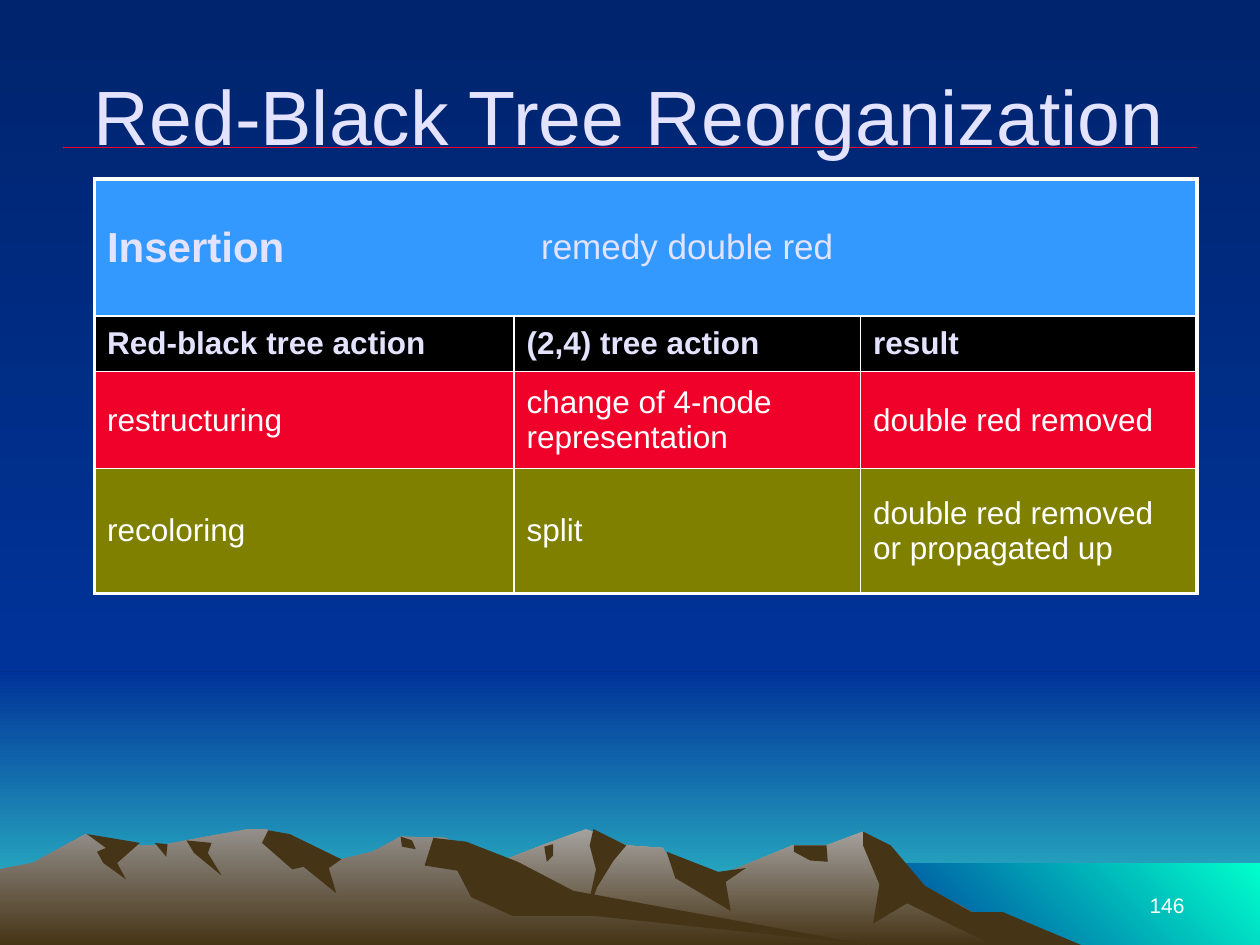
from lxml.etree import SubElement
from pptx import Presentation
from pptx.dml.color import RGBColor
from pptx.enum.shapes import MSO_CONNECTOR, MSO_SHAPE
from pptx.enum.text import MSO_ANCHOR, PP_ALIGN
from pptx.oxml import parse_xml
from pptx.oxml.ns import nsdecls, qn
from pptx.util import Inches, Pt

NAVY = RGBColor.from_string("00246D")
BLUE = RGBColor.from_string("003399")
TEAL = RGBColor.from_string("33CCCC")
AQUA = RGBColor.from_string("00FFCC")
GREY = RGBColor.from_string("A5A29F")
STONE = RGBColor.from_string("938F8B")
BROWN = RGBColor.from_string("463416")
RED = RGBColor.from_string("EF0129")
OLIVE = RGBColor.from_string("808000")
SKY = RGBColor.from_string("3399FF")
BLACK = RGBColor.from_string("000000")
WHITE = RGBColor.from_string("FFFFFF")
LILAC = RGBColor.from_string("E3E3FF")
DOWN, RISE = 270, 45

# Backdrop bands: left, top, width, height, fill
BANDS = [
    (0, 5.33, 10, 2.17, (BLUE, TEAL, DOWN)),
    (0, 0, 10, 5.33, (NAVY, BLUE, DOWN)),
    (6.83, 6.85, 3.17, 0.65, (BLUE, AQUA, RISE)),
]

# Mountains, back to front: fill, then corners in hundredths of an inch
HILLS = [
    # Right range and its shaded faces
    ((GREY, BROWN, DOWN), [
        (258, 750), (327, 709), (394, 685), (430, 671), (465, 658), (474, 661),
        (497, 671), (526, 673), (536, 690), (566, 697), (629, 671), (656, 671),
        (685, 660), (723, 698), (820, 750)]),
    (BROWN, [
        (685, 660), (707, 671), (734, 703), (771, 724), (796, 724), (858, 750),
        (788, 750), (720, 717), (693, 733), (698, 702), (685, 671)]),
    (BROWN, [
        (471, 658), (497, 671), (487, 683), (474, 704), (465, 727), (473, 690),
        (468, 671)]),
    (BROWN, [
        (529, 676), (570, 692), (592, 689), (576, 700), (580, 723), (536, 697)]),
    (BROWN, [(630, 671), (656, 671), (657, 684), (643, 683), (630, 676)]),
    (BROWN, [(432, 672), (439, 670), (439, 679), (434, 684)]),
    # Left range and its shaded faces
    ((STONE, BROWN, DOWN), [
        (0, 750), (0, 690), (26, 685), (68, 662), (94, 671), (128, 671),
        (148, 667), (196, 658), (212, 658), (236, 681), (271, 682), (296, 676),
        (318, 664), (354, 665), (432, 712), (690, 750)]),
    (BROWN, [
        (213, 659), (230, 662), (271, 682), (261, 689), (267, 709), (241, 688),
        (232, 690), (208, 669)]),
    (BROWN, [
        (344, 665), (370, 668), (411, 684), (455, 707), (690, 750), (472, 727),
        (407, 727), (374, 712), (363, 691), (337, 687)]),
    (BROWN, [(318, 664), (327, 667), (330, 674), (319, 672)]),
    (BROWN, [(148, 667), (168, 669), (165, 677), (176, 695), (154, 677)]),
    (BROWN, [(123, 669), (133, 670), (132, 680)]),
    (BROWN, [
        (69, 662), (111, 669), (93, 685), (100, 698), (82, 685), (77, 676),
        (84, 673)]),
]

# Table rows: height, fill, text colour, bold, cells
COLS = [3.33, 2.75, 2.67]
ROWS = [
    (1.09, SKY, LILAC, True, ["Insertion", "remedy double red", ""]),
    (0.44, BLACK, LILAC, True,
     ["Red-black tree action", "(2,4) tree action", "result"]),
    (0.77, RED, WHITE, False,
     ["restructuring", "change of 4-node representation", "double red removed"]),
    (0.99, OLIVE, WHITE, False,
     ["recoloring", "split", "double red removed or propagated up"]),
]
THIN, THICK = 1, 2.25


def write(frame, text, size=18, color=WHITE, bold=False, align=PP_ALIGN.LEFT):
    para = frame.paragraphs[0]
    para.alignment = align
    run = para.add_run()
    run.text = text
    font = run.font
    font.name, font.size, font.bold = "Arial", Pt(size), bold
    font.color.rgb = color


def paint(fill, look):
    if isinstance(look, RGBColor):
        fill.solid()
        fill.fore_color.rgb = look
        return
    fill.gradient()
    fill.gradient_angle = look[2]
    for stop, color in zip(fill.gradient_stops, look):
        stop.color.rgb = color


def finish(shape, look):
    paint(shape.fill, look)
    shape.line.fill.background()
    shape.shadow.inherit = False


def label(slide, box, anchor, text, **style):
    frame = slide.shapes.add_textbox(*map(Inches, box)).text_frame
    frame.word_wrap = True
    frame.vertical_anchor = anchor
    write(frame, text, **style)


def edge(cell, widths):
    props = cell._tc.get_or_add_tcPr()
    for i, (side, width) in enumerate(zip("LRTB", widths)):
        fill = (f'<a:solidFill><a:srgbClr val="{WHITE}"/></a:solidFill>'
                if width else "<a:noFill/>")
        props.insert(i, parse_xml(
            f'<a:ln{side} {nsdecls("a")} w="{Pt(width)}">{fill}</a:ln{side}>'))


def grid(slide):
    table = slide.shapes.add_table(
        len(ROWS), len(COLS), Inches(0.75), Inches(1.42), Inches(sum(COLS)),
        Inches(sum(row[0] for row in ROWS))).table
    table.first_row = table.horz_banding = False
    for col, width in zip(table.columns, COLS):
        col.width = Inches(width)
    for r, (height, look, color, bold, texts) in enumerate(ROWS):
        table.rows[r].height = Inches(height)
        inner = THIN if r else 0
        for c, text in enumerate(texts):
            cell = table.cell(r, c)
            cell.vertical_anchor = MSO_ANCHOR.MIDDLE
            paint(cell.fill, look)
            edge(cell, (THICK if c == 0 else inner,
                        THICK if c == len(COLS) - 1 else inner,
                        THICK if r == 0 else THIN,
                        THICK if r == len(ROWS) - 1 else THIN))
            style = {"color": color, "bold": bold}
            if r == 0:
                style["size"] = 20 if c else 24
                if c:
                    style.update(bold=False, align=PP_ALIGN.CENTER)
            if text:
                write(cell.text_frame, text, **style)


def main():
    deck = Presentation()
    deck.slide_width, deck.slide_height = Inches(10), Inches(7.5)
    slide = deck.slides.add_slide(deck.slide_layouts[6])
    paint(slide.background.fill, (NAVY, BLUE, DOWN))

    # Sky, sea and mountains
    for *box, look in BANDS:
        finish(slide.shapes.add_shape(MSO_SHAPE.RECTANGLE, *map(Inches, box)), look)
    for look, points in HILLS:
        path = slide.shapes.build_freeform(*points[0], scale=Inches(0.01))
        path.add_line_segments(points[1:], close=True)
        finish(path.convert_to_shape(), look)

    # Rule under the title
    rule = slide.shapes.add_connector(
        MSO_CONNECTOR.STRAIGHT, *map(Inches, (0.5, 1.17, 9.5, 1.17)))
    rule.line.color.rgb = RED
    rule.line.width = Pt(0.75)
    SubElement(rule._element.spPr, qn("a:effectLst"))

    # Page number, title and table
    label(slide, (7.17, 6.83, 2.33, 0.5), MSO_ANCHOR.BOTTOM, "146",
          size=12, align=PP_ALIGN.RIGHT)
    label(slide, (0.33, 0.33, 9.33, 1.16), MSO_ANCHOR.MIDDLE,
          "Red-Black Tree Reorganization", size=44, color=LILAC,
          align=PP_ALIGN.CENTER)
    grid(slide)
    deck.save("out.pptx")


if __name__ == "__main__":
    main()
